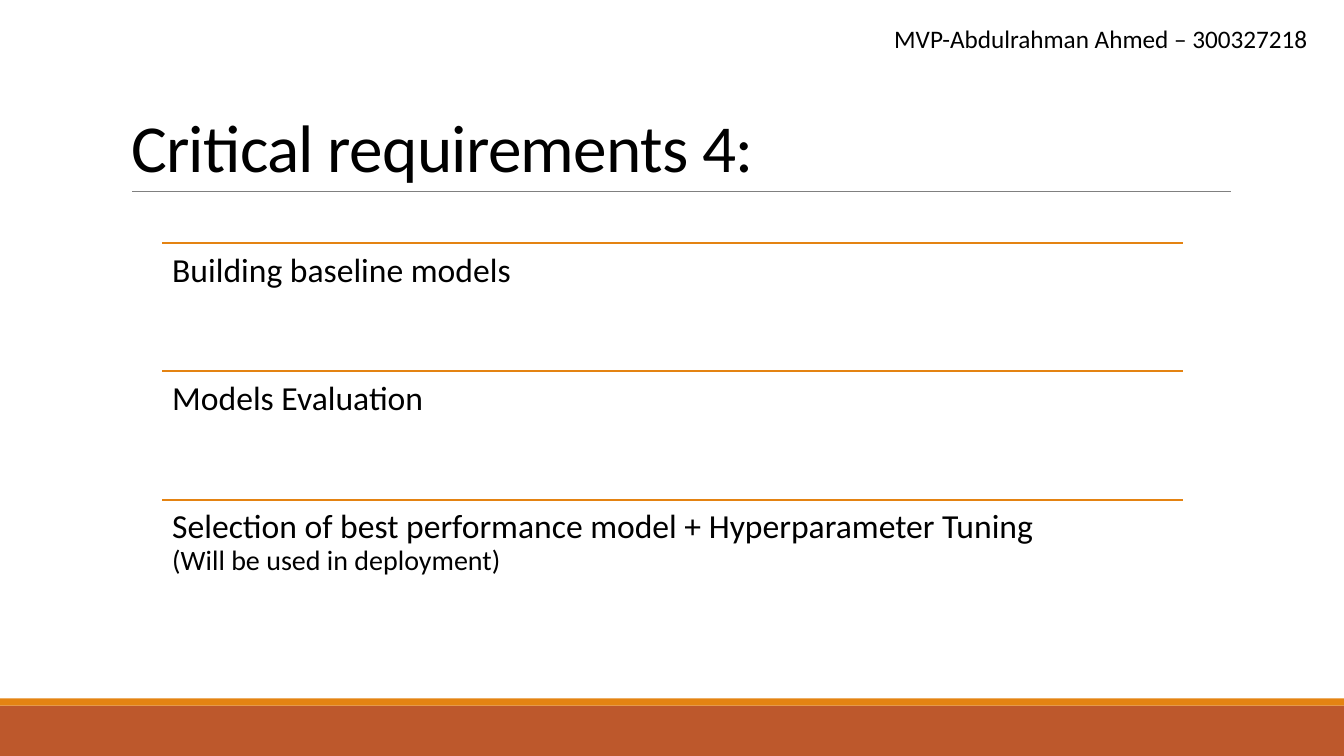
from dataclasses import dataclass

import pptx
import pptx.dml.color
import pptx.enum.shapes
import pptx.enum.text
import pptx.oxml.ns
import pptx.util

Inches = pptx.util.Inches
Pt = pptx.util.Pt


@dataclass(frozen=True)
class Theme:
    font: str = "Calibri"
    ink: str = "000000"
    rust: str = "BD582C"
    orange: str = "E48312"
    gray: str = "808080"
    title: float = 48
    item: float = 24
    note: float = 20
    head: float = 18


@dataclass(frozen=True)
class Band:
    top: float
    height: float
    color: str


@dataclass(frozen=True)
class Item:
    text: str
    note: str = ""


THEME = Theme()
WIDTH, HEIGHT = 13.33, 7.5
LEFT, TOP, SPAN, STEP = 1.61, 2.41, 10.12, 1.274
BANDS = [Band(7, 0.5, THEME.rust), Band(6.93, 0.07, THEME.orange)]
ITEMS = [
    Item("Building baseline models"),
    Item("Models Evaluation"),
    Item("Selection of best performance model + Hyperparameter Tuning",
         "(Will be used in deployment)"),
]


def paint(code: str) -> pptx.dml.color.RGBColor:
    return pptx.dml.color.RGBColor.from_string(code)


def style(para, size: float) -> None:
    para.font.name = THEME.font
    para.font.size = Pt(size)
    para.font.color.rgb = paint(THEME.ink)


def draw_band(slide, band: Band) -> None:
    shape = slide.shapes.add_shape(
        pptx.enum.shapes.MSO_SHAPE.RECTANGLE,
        0, Inches(band.top), Inches(WIDTH), Inches(band.height))
    shape.shadow.inherit = False
    shape.fill.solid()
    shape.fill.fore_color.rgb = paint(band.color)
    shape.line.fill.background()


def draw_rule(slide, left: float, top: float, span: float,
              color: str, weight: float) -> None:
    rule = slide.shapes.add_connector(
        pptx.enum.shapes.MSO_CONNECTOR.STRAIGHT,
        Inches(left), Inches(top), Inches(left + span), Inches(top))
    rule.line.color.rgb = paint(color)
    rule.line.width = Pt(weight)
    props = rule.element.find(pptx.oxml.ns.qn("p:spPr"))
    props.append(pptx.oxml.parse_xml(
        f"<a:effectLst {pptx.oxml.ns.nsdecls('a')}/>"))


def draw_title(slide, text: str) -> None:
    title = slide.shapes.title
    title.left, title.top = Inches(1.2), Inches(0.31)
    title.width, title.height = Inches(11), Inches(1.59)
    frame = title.text_frame
    frame.text = text
    frame.word_wrap = True
    frame.auto_size = pptx.enum.text.MSO_AUTO_SIZE.NONE
    frame.vertical_anchor = pptx.enum.text.MSO_ANCHOR.BOTTOM
    para = frame.paragraphs[0]
    para.alignment = pptx.enum.text.PP_ALIGN.LEFT
    para.line_spacing = 0.85
    style(para, THEME.title)
    for props in title.element.iter(pptx.oxml.ns.qn("a:defRPr")):
        props.set("spc", "-50")


def draw_head(slide, text: str) -> None:
    box = slide.shapes.add_textbox(
        Inches(8.77), Inches(0.18), Inches(4.32), Inches(0.71))
    box.text_frame.word_wrap = True
    box.text_frame.text = text
    style(box.text_frame.paragraphs[0], THEME.head)


def draw_item(slide, item: Item, top: float) -> None:
    draw_rule(slide, LEFT, top, SPAN, THEME.orange, 1.25)
    box = slide.shapes.add_textbox(
        Inches(LEFT), Inches(top), Inches(SPAN), Inches(STEP))
    frame = box.text_frame
    frame.word_wrap = True
    frame.margin_left = frame.margin_right = Inches(0.1)
    frame.margin_top = frame.margin_bottom = Inches(0.1)
    para = frame.paragraphs[0]
    para.line_spacing = 0.9
    style(para, THEME.item)
    para.add_run().text = item.text
    if item.note:
        para.add_line_break()
        note = para.add_run()
        note.text = item.note
        note.font.size = Pt(THEME.note)


def main() -> None:
    deck = pptx.Presentation()
    deck.slide_width, deck.slide_height = Inches(WIDTH), Inches(HEIGHT)
    slide = deck.slides.add_slide(deck.slide_layouts[5])
    for band in BANDS:
        draw_band(slide, band)
    draw_rule(slide, 1.31, 1.9, 10.9, THEME.gray, 0.5)
    draw_title(slide, "Critical requirements 4:")
    draw_head(slide, "MVP-Abdulrahman Ahmed – 300327218")
    for index, item in enumerate(ITEMS):
        draw_item(slide, item, TOP + index * STEP)
    deck.save("out.pptx")


if __name__ == "__main__":
    main()
